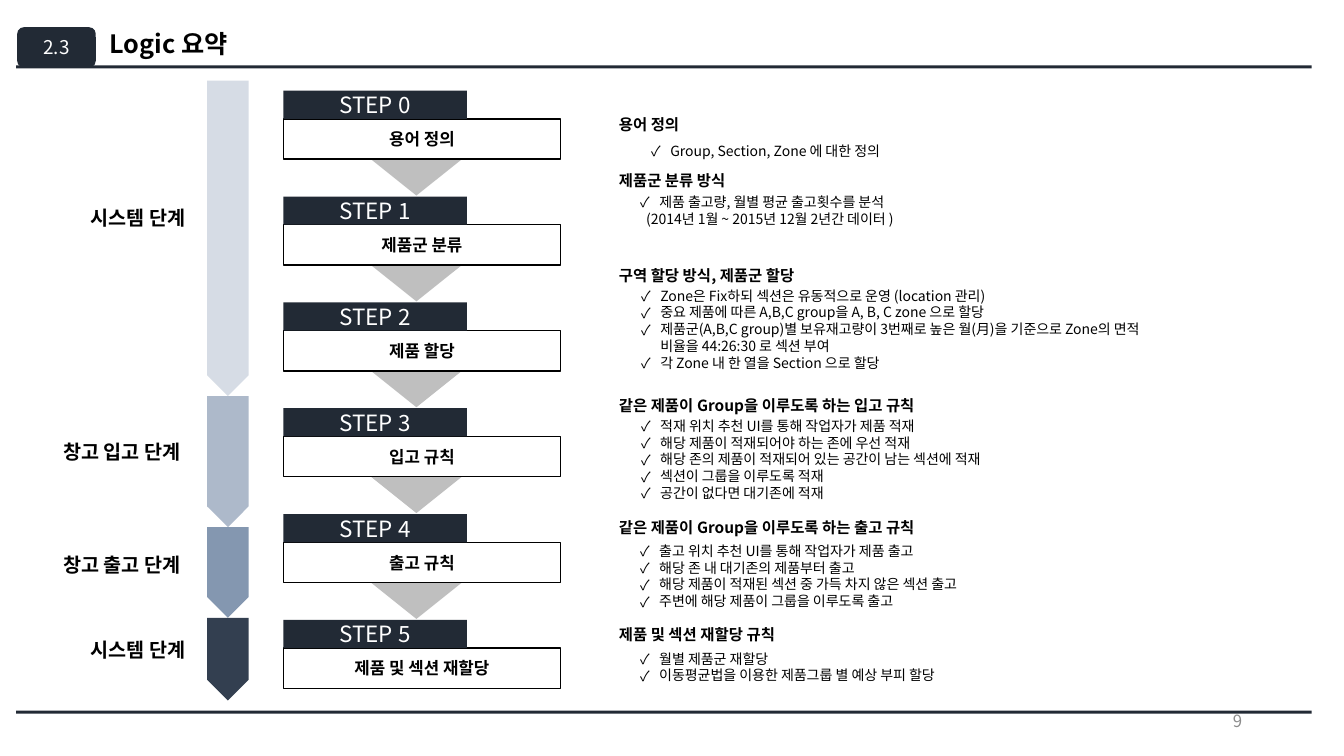
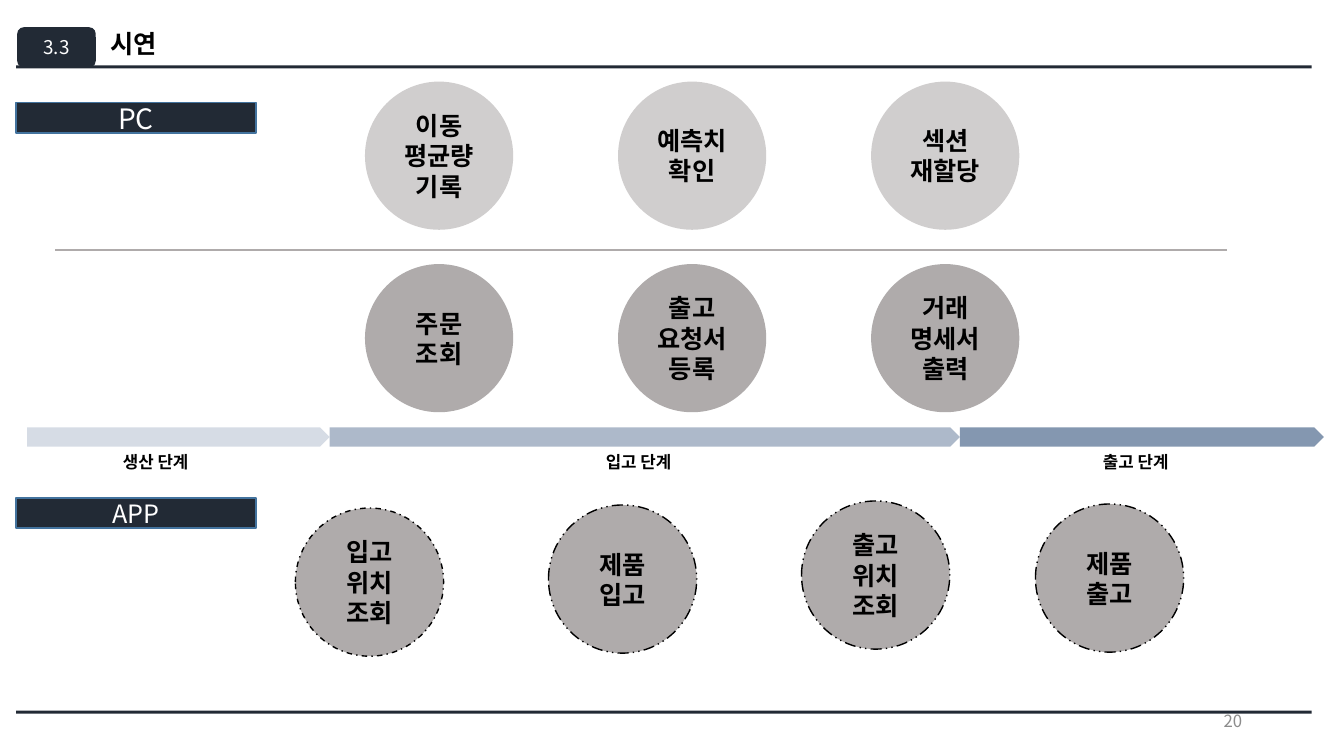
from dataclasses import dataclass

from lxml import etree
from pptx import Presentation
from pptx.dml.color import RGBColor
from pptx.enum.dml import MSO_LINE
from pptx.enum.shapes import MSO_CONNECTOR, MSO_SHAPE
from pptx.enum.text import MSO_ANCHOR, MSO_AUTO_SIZE, PP_ALIGN
from pptx.oxml.ns import qn
from pptx.util import Inches, Pt

RECTANGLE, ROUNDED = MSO_SHAPE.RECTANGLE, MSO_SHAPE.ROUNDED_RECTANGLE
ELLIPSE, TRIANGLE = MSO_SHAPE.OVAL, MSO_SHAPE.ISOSCELES_TRIANGLE
PENTAGON = MSO_SHAPE.PENTAGON
LEFT, CENTER, RIGHT = PP_ALIGN.LEFT, PP_ALIGN.CENTER, PP_ALIGN.RIGHT
TOP, MIDDLE, BOTTOM = MSO_ANCHOR.TOP, MSO_ANCHOR.MIDDLE, MSO_ANCHOR.BOTTOM
DASH_DOT, DASH_DOT_DOT = MSO_LINE.DASH_DOT, MSO_LINE.DASH_DOT_DOT

FONT = "Noto Sans CJK KR"
COLORS = {
    "navy": "222A35", "black": "000000", "white": "FFFFFF", "page": "8C8C8C",
    "triangle": "BFBFBF", "light": "D0CECE", "gray": "AFABAB", "edge": "43739E",
    "stage1": "D6DCE5", "stage2": "ADB9CA", "stage3": "8497B0", "stage4": "333F50",
}


@dataclass(frozen=True)
class TextStyle:
    size: float
    color: str = "black"
    bold: bool = False
    align: PP_ALIGN = CENTER
    anchor: MSO_ANCHOR = MIDDLE
    line_spacing: float | None = None


TITLE = TextStyle(18, bold=True, anchor=BOTTOM, line_spacing=0.9)
SECTION = TextStyle(13.5, "white")
PAGE = TextStyle(12, "page", align=RIGHT)
STEP_TAG = TextStyle(16, "white")
STEP_NAME = TextStyle(12, bold=True)
STAGE = TextStyle(14, bold=True, align=LEFT, anchor=TOP)
FLOW_LABEL = TextStyle(12, bold=True, align=LEFT, anchor=TOP)
HEADING = TextStyle(11, bold=True, align=LEFT, anchor=TOP)
BODY = TextStyle(10, align=LEFT, anchor=TOP)
CIRCLE = TextStyle(18, bold=True)


@dataclass(frozen=True)
class Box:
    left: float
    top: float
    width: float
    height: float

    def lengths(self) -> tuple:
        return tuple(Inches(v) for v in (self.left, self.top, self.width, self.height))


@dataclass(frozen=True)
class Stage:
    label: str
    length: float
    color: str
    left: float
    label_top: float


@dataclass(frozen=True)
class Detail:
    heading: str
    heading_top: float
    body: Box
    items: tuple[str, ...]


@dataclass(frozen=True)
class Circle:
    left: float
    top: float
    lines: tuple[str, ...]
    fill: str = "gray"
    dash: MSO_LINE | None = None


STAGES = (
    Stage("시스템 단계", 3.13, "stage1", 0.8, 1.99),
    Stage("창고 입고 단계", 1.3, "stage2", 0.53, 4.32),
    Stage("창고 출고 단계", 0.9, "stage3", 0.53, 5.44),
    Stage("시스템 단계", 0.82, "stage4", 0.8, 6.28),
)
STEPS = ("용어 정의", "제품군 분류", "제품 할당", "입고 규칙", "출고 규칙", "제품 및 섹션 재할당")
DETAILS = (
    Detail("용어 정의", 1.09, Box(6.36, 1.36, 5.45, 0.27),
           ("Group, Section, Zone 에 대한 정의",)),
    Detail("제품군 분류 방식", 1.65, Box(6.25, 1.87, 5.45, 0.44),
           ("제품 출고량, 월별 평균 출고횟수를 분석",
            "(2014년 1월 ~ 2015년 12월 2년간 데이터 )")),
    Detail("구역 할당 방식, 제품군 할당", 2.59, Box(6.26, 2.8, 5.55, 0.94),
           ("Zone은 Fix하되 섹션은 유동적으로 운영 (location 관리)",
            "중요 제품에 따른 A,B,C group을 A, B, C zone 으로 할당",
            "제품군(A,B,C group)별 보유재고량이 3번째로 높은 월(月)을 기준으로 "
            "Zone의 면적 비율을 44:26:30 로 섹션 부여",
            "각 Zone 내 한 열을 Section 으로 할당")),
    Detail("같은 제품이 Group을 이루도록 하는 입고 규칙", 3.88, Box(6.26, 4.09, 5.56, 0.94),
           ("적재 위치 추천 UI를 통해 작업자가 제품 적재",
            "해당 제품이 적재되어야 하는 존에 우선 적재",
            "해당 존의 제품이 적재되어 있는 공간이 남는 섹션에 적재",
            "섹션이 그룹을 이루도록 적재",
            "공간이 없다면 대기존에 적재")),
    Detail("같은 제품이 Group을 이루도록 하는 출고 규칙", 5.09, Box(6.25, 5.33, 5.56, 0.77),
           ("출고 위치 추천 UI를 통해 작업자가 제품 출고",
            "해당 존 내 대기존의 제품부터 출고",
            "해당 제품이 적재된 섹션 중 가득 차지 않은 섹션 출고",
            "주변에 해당 제품이 그룹을 이루도록 출고")),
    Detail("제품 및 섹션 재할당 규칙", 6.15, Box(6.25, 6.4, 5.56, 0.44),
           ("월별 제품군 재할당", "이동평균법을 이용한 제품그룹 별 예상 부피 할당")),
)

PC_ROWS = (
    (0.81, "light", (("이동", "평균량 기록"), ("예측치", "확인"), ("섹션", "재할당"))),
    (2.62, "gray", (("주문", "조회"), ("출고", "요청서", "등록"), ("거래", "명세서", "출력"))),
)
APP_CIRCLES = (
    Circle(2.93, 5.04, ("입고", "위치", "조회"), dash=DASH_DOT),
    Circle(5.44, 5.01, ("제품", "입고"), dash=DASH_DOT_DOT),
    Circle(7.95, 4.97, ("출고", "위치", "조회"), dash=DASH_DOT_DOT),
    Circle(10.27, 5, ("제품", "출고"), dash=DASH_DOT_DOT),
)
FLOW = (
    ("생산 단계", Box(0.27, 4.24, 3, 0.19), "stage1", 1.12),
    ("입고 단계", Box(3.27, 4.24, 6.25, 0.19), "stage2", 5.91),
    ("출고 단계", Box(9.52, 4.24, 3.61, 0.19), "stage3", 10.84),
)


def rgb(name: str) -> RGBColor:
    return RGBColor.from_string(COLORS[name])


def write(shape, lines: tuple[str, ...], style: TextStyle) -> None:
    frame = shape.text_frame
    frame.word_wrap = True
    frame.auto_size = MSO_AUTO_SIZE.NONE
    frame.vertical_anchor = style.anchor
    font_format = {"size": Pt(style.size), "bold": style.bold, "name": FONT}
    for index, line in enumerate(lines):
        paragraph = frame.add_paragraph() if index else frame.paragraphs[0]
        paragraph.alignment = style.align
        paragraph.line_spacing = style.line_spacing
        run = paragraph.add_run()
        run.text = line
        for name, value in font_format.items():
            setattr(run.font, name, value)
        run.font.color.rgb = rgb(style.color)
        east_asian = etree.SubElement(run.font._element, qn("a:ea"))
        east_asian.set("typeface", FONT)


def add_text(slide, box: Box, lines: tuple[str, ...], style: TextStyle):
    shape = slide.shapes.add_textbox(*box.lengths())
    write(shape, lines, style)
    return shape


def add_block(slide, kind: MSO_SHAPE, box: Box, fill: str, line: str | None = None,
              lines: tuple[str, ...] = (), style: TextStyle = CIRCLE):
    """Draw a filled preset shape, outlined and labelled when asked."""
    shape = slide.shapes.add_shape(kind, *box.lengths())
    shape.shadow.inherit = False
    shape.fill.solid()
    shape.fill.fore_color.rgb = rgb(fill)
    if line:
        shape.line.color.rgb = rgb(line)
        shape.line.width = Pt(1)
    else:
        shape.line.fill.background()
    if lines:
        write(shape, lines, style)
    return shape


def indent(paragraph, bulleted: bool) -> None:
    """Hang a check mark before the paragraph, or align a continuation line."""
    properties = paragraph._p.get_or_add_pPr()
    properties.set("marL", str(Inches(0.19 if bulleted else 0.06)))
    properties.set("indent", str(Inches(-0.19 if bulleted else 0)))
    if bulleted:
        etree.SubElement(properties, qn("a:buFont")).set("typeface", FONT)
        etree.SubElement(properties, qn("a:buChar")).set("char", "✓")


def add_framed_slide(presentation, section: str, title: str, title_width: float, page: str):
    """Add a slide with title, section tab, two bands and page number."""
    slide = presentation.slides.add_slide(presentation.slide_layouts[5])
    heading = slide.shapes.title
    places = Box(0.94, 0.26, title_width, 0.38).lengths()
    for name, value in zip(("left", "top", "width", "height"), places):
        setattr(heading, name, value)
    write(heading, (title,), TITLE)
    for top in (0.65, 7.05):
        add_block(slide, RECTANGLE, Box(0.16, top, 12.85, 0.03), "navy")
    add_block(slide, ROUNDED, Box(0.17, 0.27, 0.78, 0.4), "navy",
              lines=(section,), style=SECTION)
    add_text(slide, Box(9.42, 6.95, 3, 0.4), (page,), PAGE)
    return slide


def add_stages(slide) -> None:
    center, thickness, top = 2.26, 0.41, 0.8
    for stage in STAGES:
        box = Box(center - stage.length / 2, top + (stage.length - thickness) / 2,
                  stage.length, thickness)
        add_block(slide, PENTAGON, box, stage.color).rotation = 90
        add_text(slide, Box(stage.left, stage.label_top, 1.6, 0.34), (stage.label,), STAGE)
        top += stage.length


def add_steps(slide) -> None:
    left, first_top, pitch = 2.81, 0.9, 1.05
    for index, name in enumerate(STEPS):
        top = first_top + index * pitch
        if index < len(STEPS) - 1:
            add_block(slide, TRIANGLE, Box(3.68, top + 0.68, 0.9, 0.36),
                      "triangle").rotation = 180
        add_block(slide, RECTANGLE, Box(left, top + 0.28, 2.75, 0.4), "white", "black",
                  (name,), STEP_NAME)
        add_block(slide, RECTANGLE, Box(left, top, 1.82, 0.28), "navy",
                  lines=(f"STEP {index}",), style=STEP_TAG)


def add_detail(slide, detail: Detail) -> None:
    add_text(slide, Box(6.04, detail.heading_top, 4, 0.29), (detail.heading,), HEADING)
    body = add_text(slide, detail.body, detail.items, BODY)
    for paragraph in body.text_frame.paragraphs:
        indent(paragraph, not paragraph.text.startswith("("))


def add_circle(slide, circle: Circle) -> None:
    shape = add_block(slide, ELLIPSE, Box(circle.left, circle.top, 1.47, 1.47), circle.fill,
                      "black" if circle.dash else None, circle.lines)
    if circle.dash:
        shape.line.dash_style = circle.dash


def add_divider(slide) -> None:
    line = slide.shapes.add_connector(MSO_CONNECTOR.STRAIGHT, Inches(0.55), Inches(2.48),
                                      Inches(12.17), Inches(2.48))
    line.line.color.rgb = rgb("gray")
    line.line.width = Pt(1)
    etree.SubElement(line._element.spPr, qn("a:effectLst"))


def build_logic_slide(presentation) -> None:
    slide = add_framed_slide(presentation, "2.3", "Logic 요약", 1.46, "9")
    add_steps(slide)
    add_stages(slide)
    for detail in DETAILS:
        add_detail(slide, detail)


def build_demo_slide(presentation) -> None:
    slide = add_framed_slide(presentation, "3.3", "시연", 0.77, "20")
    for label, top, size in (("PC", 1.02, 20), ("APP", 4.94, 18)):
        add_block(slide, RECTANGLE, Box(0.16, top, 2.38, 0.3), "navy", "edge",
                  (label,), TextStyle(size, "white"))
    for top, fill, labels in PC_ROWS:
        for column, lines in enumerate(labels):
            add_circle(slide, Circle(3.62 + 2.51 * column, top, lines, fill))
    for circle in APP_CIRCLES:
        add_circle(slide, circle)
    for label, box, color, label_left in FLOW:
        add_block(slide, PENTAGON, box, color)
        add_text(slide, Box(label_left, 4.43, 0.98, 0.3), (label,), FLOW_LABEL)
    add_divider(slide)


def main() -> None:
    presentation = Presentation()
    presentation.slide_width = Inches(13.33)
    presentation.slide_height = Inches(7.5)
    build_logic_slide(presentation)
    build_demo_slide(presentation)
    presentation.save("out.pptx")


if __name__ == "__main__":
    main()
